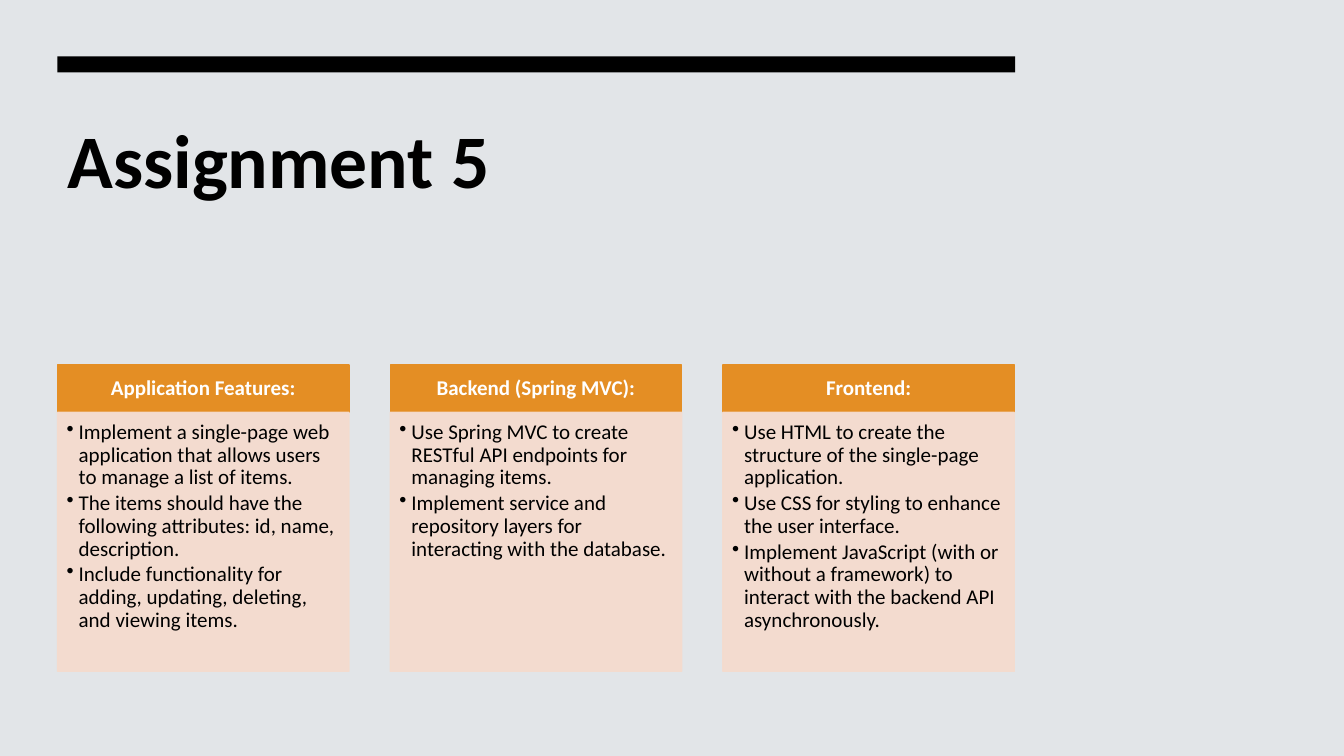
from dataclasses import dataclass

from lxml import etree
from pptx import Presentation
from pptx.dml.color import RGBColor
from pptx.enum.shapes import MSO_SHAPE
from pptx.enum.text import MSO_ANCHOR, PP_ALIGN
from pptx.oxml.ns import qn
from pptx.util import Pt

RECTANGLE = MSO_SHAPE.RECTANGLE
TOP, MIDDLE = MSO_ANCHOR.TOP, MSO_ANCHOR.MIDDLE
LEFT, CENTER = PP_ALIGN.LEFT, PP_ALIGN.CENTER
TITLE_ONLY = 5
PX = 9144  # 100 px to the inch


@dataclass(frozen=True)
class Theme:
    font: str = "Calibri"
    background: str = "E2E5E8"
    ink: str = "000000"
    header: str = "E48E24"
    header_text: str = "FFFFFF"
    panel: str = "F5DBCD"
    panel_opacity: int = 90
    title_size: int = 54
    text_size: int = 15


THEME = Theme()

# Column geometry, in px
MARGIN, CONTENT_WIDTH = 57, 950
COLUMN_WIDTH, COLUMN_STEP = 289, 330
HEADER_TOP, HEADER_HEIGHT, PANEL_HEIGHT = 362, 47, 257

COLUMNS = [
    ("Application Features:", [
        "Implement a single-page web application that allows users to manage a list of items.",
        "The items should have the following attributes: id, name, description.",
        "Include functionality for adding, updating, deleting, and viewing items.",
    ]),
    ("Backend (Spring MVC):", [
        "Use Spring MVC to create RESTful API endpoints for managing items.",
        "Implement service and repository layers for interacting with the database.",
    ]),
    ("Frontend:", [
        "Use HTML to create the structure of the single-page application.",
        "Use CSS for styling to enhance the user interface.",
        "Implement JavaScript (with or without a framework) to interact with the backend API "
        "asynchronously.",
    ]),
]


def color(value):
    return RGBColor.from_string(value)


def set_frame(frame, insets, anchor):
    frame.word_wrap = True
    frame.vertical_anchor = anchor
    (frame.margin_left, frame.margin_top,
     frame.margin_right, frame.margin_bottom) = [inset * PX for inset in insets]


def format_para(para, size, ink, bold=False, align=LEFT, spacing=0.9):
    para.alignment = align
    para.line_spacing = spacing
    for span in para.runs:
        span.font.name = THEME.font
        span.font.size = Pt(size)
        span.font.bold = bold
        span.font.color.rgb = color(ink)


def add_bullet(para):
    properties = para._p.get_or_add_pPr()
    properties.set("marL", str(12 * PX))
    properties.set("indent", str(-12 * PX))
    etree.SubElement(properties, qn("a:buChar")).set("char", "•")


def set_opacity(box, percent):
    for tint in box._element.spPr.iter(qn("a:srgbClr")):
        etree.SubElement(tint, qn("a:alpha")).set("val", str(percent * 1000))


def add_box(page, left, top, width, height, fill, outlined=True):
    box = page.shapes.add_shape(RECTANGLE, left * PX, top * PX, width * PX, height * PX)
    box.shadow.inherit = False
    box.fill.solid()
    box.fill.fore_color.rgb = color(fill)
    if outlined:
        box.line.color.rgb = color(fill)
        box.line.width = Pt(1)
    else:
        box.line.fill.background()
    return box


def add_title(page, text):
    title = page.shapes.title
    title.left, title.top = MARGIN * PX, 107 * PX
    title.width, title.height = CONTENT_WIDTH * PX, 212 * PX
    title.text_frame.text = text
    set_frame(title.text_frame, (10, 5, 10, 5), TOP)
    format_para(title.text_frame.paragraphs[0], THEME.title_size, THEME.ink,
                bold=True, spacing=1.0)


def add_header(page, left, text):
    box = add_box(page, left, HEADER_TOP, COLUMN_WIDTH, HEADER_HEIGHT, THEME.header)
    box.text_frame.text = text
    set_frame(box.text_frame, (12, 7, 12, 7), MIDDLE)
    format_para(box.text_frame.paragraphs[0], THEME.text_size, THEME.header_text,
                bold=True, align=CENTER)


def add_panel(page, left, items):
    box = add_box(page, left, HEADER_TOP + HEADER_HEIGHT, COLUMN_WIDTH, PANEL_HEIGHT,
                  THEME.panel)
    set_opacity(box, THEME.panel_opacity)
    box.text_frame.text = "\n".join(items)
    set_frame(box.text_frame, (9, 9, 12, 13), TOP)
    for para in box.text_frame.paragraphs:
        para.level = 1
        format_para(para, THEME.text_size, THEME.ink)
        para.space_after = Pt(THEME.text_size * 0.15)
        add_bullet(para)


def main():
    deck = Presentation()
    deck.slide_width, deck.slide_height = 1333 * PX, 750 * PX
    page = deck.slides.add_slide(deck.slide_layouts[TITLE_ONLY])
    page.background.fill.solid()
    page.background.fill.fore_color.rgb = color(THEME.background)

    # Title under the black bar
    add_title(page, "Assignment 5")
    add_box(page, MARGIN, 56, CONTENT_WIDTH, 16, THEME.ink, outlined=False)

    # Three columns of requirements
    for index, (heading, items) in enumerate(COLUMNS):
        left = MARGIN + index * COLUMN_STEP
        add_header(page, left, heading)
        add_panel(page, left, items)

    deck.save("out.pptx")


if __name__ == "__main__":
    main()
